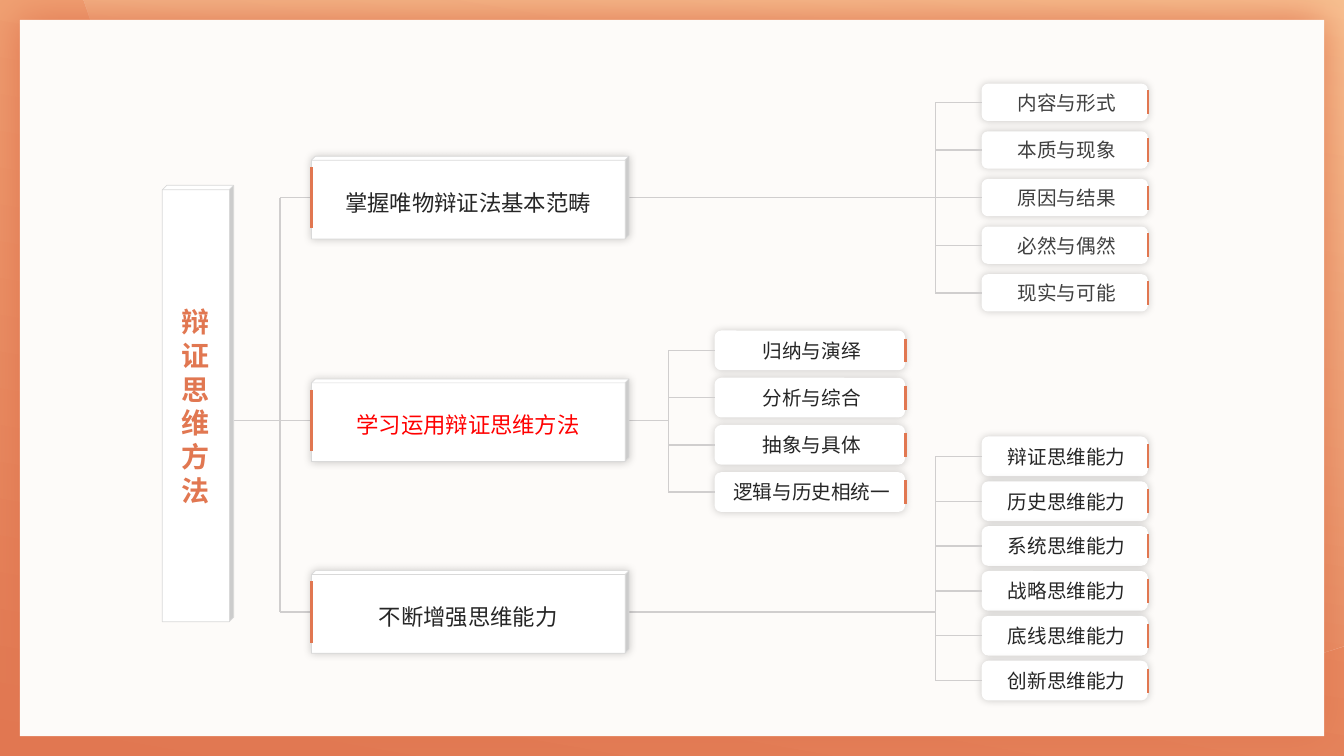
from lxml import etree
from pptx import Presentation
from pptx.dml.color import RGBColor
from pptx.enum.shapes import MSO_CONNECTOR, MSO_SHAPE
from pptx.enum.text import MSO_ANCHOR, PP_ALIGN
from pptx.oxml.ns import qn
from pptx.util import Cm, Pt

FONT = "Noto Sans CJK SC"
COLORS = {
    "orange": "E17751", "apricot": "F4AD7D", "cream": "FDD5A6",
    "paper": "FDFBF9", "white": "FFFFFF", "black": "000000",
    "wire": "D0CECE", "edge": "D9D9D9",
    "ink": "262626", "gray": "404040", "red": "FF0000",
}

# Lengths are centimetres.
SLIDE_WIDTH, SLIDE_HEIGHT = 33.87, 19.05
ROOT = {"text": "辩证思维方法", "place": (4.09, 4.67, 1.8, 11.0)}
TRUNK_X = 7.06
TOPIC_LEFT, TOPIC_WIDTH, TOPIC_HEIGHT = 7.85, 8.0, 2.08
TICK_TOPIC, TICK_LEAF = 1.54, 0.6

BRANCHES = [
    {"topic": "掌握唯物辩证法基本范畴", "color": "ink", "top": 3.94, "bus": 23.57,
     "leaf": (24.74, 2.11, 4.19, 0.94), "pitch": 1.2, "leaf_color": "gray",
     "leaves": ["内容与形式", "本质与现象", "原因与结果", "必然与偶然", "现实与可能"]},
    {"topic": "学习运用辩证思维方法", "color": "red", "top": 9.55, "bus": 16.84,
     "leaf": (18.01, 8.33, 4.8, 1.0), "pitch": 1.19, "leaf_color": "ink",
     "leaves": ["归纳与演绎", "分析与综合", "抽象与具体", "逻辑与历史相统一"]},
    {"topic": "不断增强思维能力", "color": "ink", "top": 14.38, "bus": 23.57,
     "leaf": (24.74, 11.0, 4.19, 1.0), "pitch": 1.13, "leaf_color": "ink",
     "leaves": ["辩证思维能力", "历史思维能力", "系统思维能力",
                "战略思维能力", "底线思维能力", "创新思维能力"]},
]

# Backdrop sweep: straight corners, then cubic curves continuing from the last point.
SWEEP_CORNERS = [(2.11, 0), (33.87, 0), (33.87, 16.26), (33.4, 16.41)]
SWEEP_CURVES = [
    [(31.04, 17.15), (28.5, 17.53), (25.96, 17.53)],
    [(15.16, 17.53), (5.99, 10.69), (2.49, 1.12)],
]


def rgb(name):
    return RGBColor.from_string(COLORS[name])


def add_glow(shape, color, opacity, blur):
    """Give the shape a soft shadow with no offset; opacity in percent, blur in points."""
    effects = shape._element.spPr.find(qn("a:effectLst"))
    shadow = etree.SubElement(effects, qn("a:outerShdw"), blurRad=str(Pt(blur)),
                              dist="0", algn="ctr", rotWithShape="0")
    tint = etree.SubElement(shadow, qn("a:srgbClr"), val=COLORS[color])
    etree.SubElement(tint, qn("a:alpha"), val=str(opacity * 1000))


def add_box(kind, place, fill="white", edge=None):
    box = page.shapes.add_shape(kind, *map(Cm, place))
    box.shadow.inherit = False
    box.fill.solid()
    box.fill.fore_color.rgb = rgb(fill)
    if edge:
        box.line.color.rgb = rgb(edge)
        box.line.width = Pt(0.5)
    else:
        box.line.fill.background()
    return box


def write(box, text, size, color, bold=False, spacing=None):
    frame = box.text_frame
    frame.word_wrap = True
    frame.vertical_anchor = MSO_ANCHOR.MIDDLE
    para = frame.paragraphs[0]
    span = para.add_run()
    span.text = text
    para.alignment = PP_ALIGN.CENTER
    if spacing:
        para.line_spacing = spacing
    font = para.font
    font.name, font.size, font.bold = FONT, Pt(size), bold
    font.color.rgb = rgb(color)
    properties = span._r.get_or_add_rPr()
    properties.set("lang", "zh-CN")
    etree.SubElement(properties, qn("a:ea"), typeface=FONT)


def add_line(x1, y1, x2, y2, color="wire", width=1):
    line = page.shapes.add_connector(MSO_CONNECTOR.STRAIGHT, *map(Cm, (x1, y1, x2, y2)))
    line.line.color.rgb = rgb(color)
    line.line.width = Pt(width)
    etree.SubElement(line._element.spPr, qn("a:effectLst"))
    return line


def add_tick(x, middle, length):
    add_line(x, middle - length / 2, x, middle + length / 2, "orange", 2)


def fill_gradient(shape, start, end):
    shape.shadow.inherit = False
    shape.line.fill.background()
    shape.fill.gradient()
    shape.fill.gradient_angle = 80
    stops = shape.fill.gradient_stops
    for stop, color, position in zip(stops, (start, end), (0, 1)):
        stop.color.rgb = rgb(color)
        stop.position = position


def curve_points(start, first, second, end, steps=24):
    points = []
    for step in range(1, steps + 1):
        t = step / steps
        weights = ((1 - t) ** 3, 3 * t * (1 - t) ** 2, 3 * t * t * (1 - t), t ** 3)
        points.append(tuple(sum(w * p[axis] for w, p in zip(weights, (start, first, second, end)))
                            for axis in (0, 1)))
    return points


def draw_backdrop():
    base = add_box(MSO_SHAPE.RECTANGLE, (0, 0, SLIDE_WIDTH, SLIDE_HEIGHT))
    fill_gradient(base, "orange", "apricot")
    points = list(SWEEP_CORNERS)
    for curve in SWEEP_CURVES:
        points += curve_points(points[-1], *curve)
    outline = [(Cm(x), Cm(y)) for x, y in points]
    builder = page.shapes.build_freeform(*outline[0])
    builder.add_line_segments(outline[1:], close=True)
    sweep = builder.convert_to_shape()
    fill_gradient(sweep, "orange", "cream")
    last_stop = sweep._element.spPr.findall(".//" + qn("a:srgbClr"))[-1]
    etree.SubElement(last_stop, qn("a:alpha"), val="50000")
    paper = add_box(MSO_SHAPE.RECTANGLE, (0.5, 0.5, 32.87, 18.05), "paper")
    add_glow(paper, "orange", 100, 30)


def draw_branch(branch):
    """Draw one topic with its wires and leaves; return the height of its middle."""
    middle = branch["top"] + TOPIC_HEIGHT / 2
    add_line(TRUNK_X, middle, TOPIC_LEFT, middle)
    add_line(TOPIC_LEFT + TOPIC_WIDTH, middle, branch["bus"], middle)
    topic = add_box(MSO_SHAPE.CUBE, (TOPIC_LEFT, branch["top"], TOPIC_WIDTH, TOPIC_HEIGHT),
                    edge="edge")
    topic.adjustments[0] = 0.048
    add_glow(topic, "black", 20, 6)
    write(topic, branch["topic"], 16, branch["color"], spacing=1.2)
    add_tick(TOPIC_LEFT, middle, TICK_TOPIC)

    left, first_top, width, height = branch["leaf"]
    centers = [first_top + height / 2 + i * branch["pitch"] for i in range(len(branch["leaves"]))]
    add_line(branch["bus"], centers[0], branch["bus"], centers[-1])
    for text, center in zip(branch["leaves"], centers):
        leaf = add_box(MSO_SHAPE.ROUNDED_RECTANGLE, (left, center - height / 2, width, height))
        add_glow(leaf, "black", 20, 6)
        leaf.text_frame.margin_left = Cm(0.35)
        write(leaf, text, 14, branch["leaf_color"])
        add_line(branch["bus"], center, left, center).end_connect(leaf, 1)
        add_tick(left + width, center, TICK_LEAF)
    return middle


deck = Presentation()
deck.slide_width, deck.slide_height = Cm(SLIDE_WIDTH), Cm(SLIDE_HEIGHT)
page = deck.slides.add_slide(deck.slide_layouts[6])

draw_backdrop()
middles = [draw_branch(branch) for branch in BRANCHES]
add_line(TRUNK_X, middles[0], TRUNK_X, middles[-1])
root_left, _, root_width, _ = ROOT["place"]
add_line(root_left + root_width, middles[1], TRUNK_X, middles[1])
root = add_box(MSO_SHAPE.CUBE, ROOT["place"], edge="edge")
root.adjustments[0] = 0.063
write(root, ROOT["text"], 20, "orange", bold=True)

deck.save("out.pptx")
